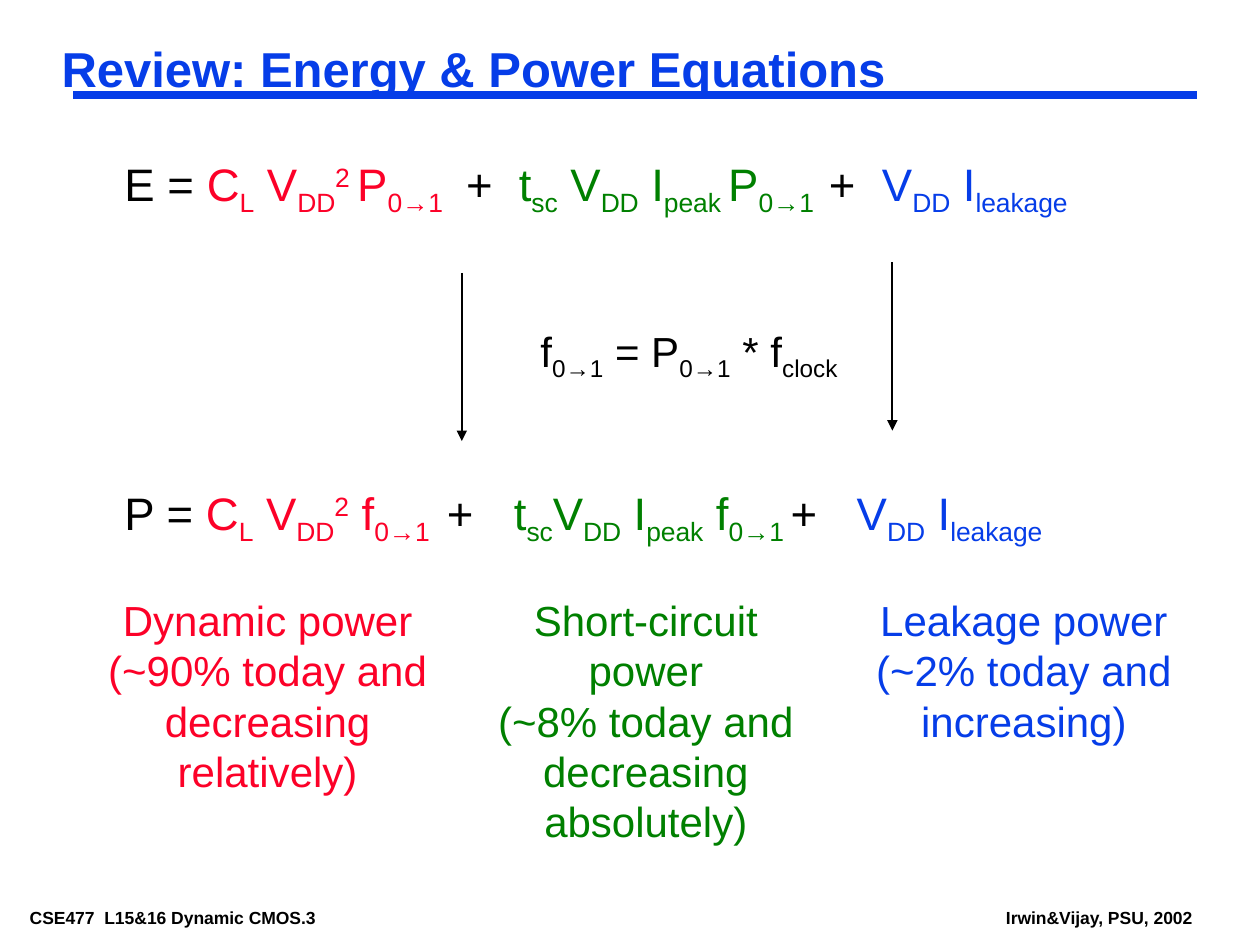
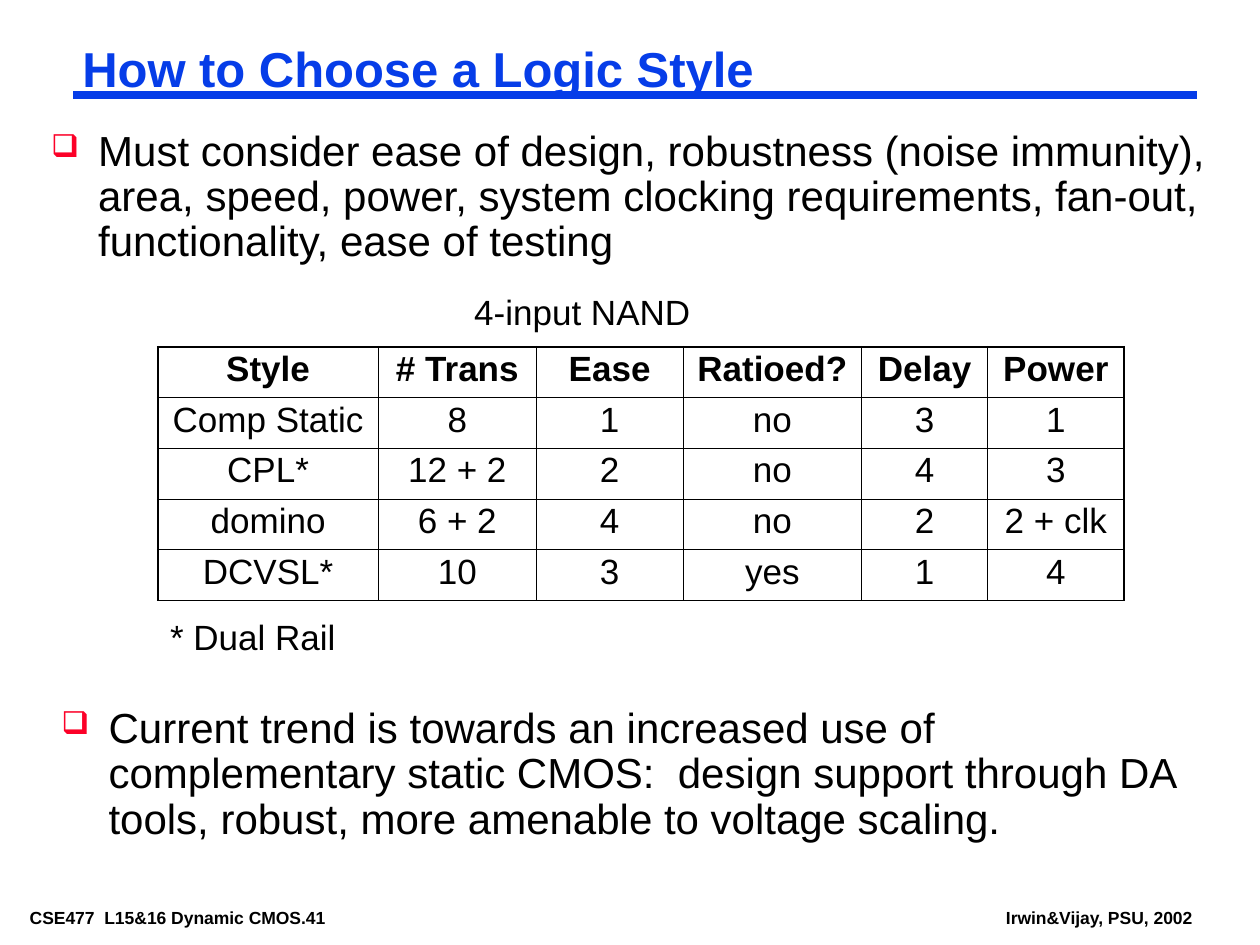
from lxml.etree import SubElement as Sub
from pptx import Presentation
from pptx.dml.color import RGBColor
from pptx.enum.shapes import MSO_CONNECTOR as Link
from pptx.enum.text import MSO_ANCHOR as Anchor, MSO_AUTO_SIZE as Fit, PP_ALIGN as Align
from pptx.oxml.ns import qn
from pptx.util import Cm, Pt

BLUE = RGBColor(0x06, 0x3D, 0xE8)
RED = RGBColor(0xFC, 0x01, 0x28)
GREEN = RGBColor(0x00, 0x80, 0x00)
BLACK = RGBColor(0, 0, 0)
FACE = "Arial"
TIGHT = (0.18, 0.08)
ROOMY = (0.25, 0.13)
SHIFT = {"_": "-25000", "^": "30000"}

ENERGY = [
    (BLACK, "E = "),
    (RED, "C|_L| V|_DD|^2 |P|_0→1"),
    (BLACK, "\t+\t"),
    (GREEN, "t|_sc| V|_DD| I|_peak |P|_0→1"),
    (BLACK, "\t+\t"),
    (BLUE, "V|_DD| I|_leakage"),
]
POWER = [
    (BLACK, "P = "),
    (RED, "C|_L| V|_DD|^2| f|_0→1"),
    (BLACK, "\t+\t"),
    (GREEN, "t|_sc|V|_DD| I|_peak| f|_0→1"),
    (BLACK, "\t+\t"),
    (BLUE, "V|_DD| I|_leakage"),
]
CLOCK = [(BLACK, "f|_0→1| = P|_0→1| * f|_clock")]
NOTES = [
    (1.9, 6.99, RED, "Dynamic power", "(~90% today and decreasing relatively)"),
    (9.74, 6.56, GREEN, "Short-circuit power", "(~8% today and decreasing absolutely)"),
    (17.36, 6.56, BLUE, "Leakage power", "(~2% today and increasing)"),
]
POINTS = [
    (0.85, 2.54, "Must consider ease of design, robustness (noise immunity), area, speed, "
     "power, system clocking requirements, fan-out, functionality, ease of testing"),
    (1.06, 14.18, "Current trend is towards an increased use of complementary static CMOS:  "
     "design support through DA tools, robust, more amenable to voltage scaling."),
]
STYLES = [
    ["Style", "# Trans", "Ease", "Ratioed?", "Delay", "Power"],
    ["Comp Static", "8", "1", "no", "3", "1"],
    ["CPL*", "12 + 2", "2", "no", "4", "3"],
    ["domino", "6 + 2", "4", "no", "2", "2 + clk"],
    ["DCVSL*", "10", "3", "yes", "1", "4"],
]
WIDTHS = [4.45, 3.18, 2.96, 3.6, 2.54, 2.75]


def put(item, **vals):
    for name, val in vals.items():
        setattr(item, name, val)


def node(root, tag, **attrs):
    return Sub(root, qn("a:" + tag), attrs)


def color(root, rgb):
    node(root, "srgbClr", val=str(rgb))


def write(para, text, size, rgb=BLACK, bold=False):
    run = para.add_run()
    run.text = text
    put(run.font, name=FACE, size=Pt(size), bold=bold)
    run.font.color.rgb = rgb
    return run


def pad(item, inset):
    side, edge = map(Cm, inset)
    put(item, margin_left=side, margin_right=side, margin_top=edge, margin_bottom=edge)


def box(slide, left, top, width, height, inset=TIGHT):
    frame = slide.shapes.add_textbox(Cm(left), Cm(top), Cm(width), Cm(height)).text_frame
    frame.word_wrap = True
    pad(frame, inset)
    return frame


def label(slide, text, left, top, width, height, size, inset=TIGHT, bold=False):
    frame = box(slide, left, top, width, height, inset)
    write(frame.paragraphs[0], text, size, bold=bold)


def line(slide, start, end, rgb, width, arrow=False):
    link = slide.shapes.add_connector(Link.STRAIGHT, *map(Cm, start + end))
    link.line.width = Pt(width)
    link.line.color.rgb = rgb
    props = link._element.spPr
    if arrow:
        node(props.find(qn("a:ln")), "tailEnd", type="triangle")
    node(props, "effectLst")


def page(deck, title, left, width, number):
    slide = deck.slides.add_slide(deck.slide_layouts[5])
    head = slide.shapes.title
    put(head, left=Cm(left), top=Cm(0.85), width=Cm(width), height=Cm(1.16))
    frame = head.text_frame
    put(frame, auto_size=Fit.NONE, vertical_anchor=Anchor.TOP, word_wrap=True)
    pad(frame, TIGHT)
    para = frame.paragraphs[0]
    put(para, alignment=Align.LEFT, line_spacing=0.87)
    write(para, title, 28, BLUE, True)
    line(slide, (1.48, 1.91), (24.13, 1.91), BLUE, 4.5)
    label(slide, f"CSE477  L15&16 Dynamic CMOS.{number}", 0.42, 18.2, 7.62, 0.56, 10, bold=True)
    label(slide, "Irwin&Vijay, PSU, 2002", 20.1, 18.2, 4.6, 0.56, 10, bold=True)
    return slide


def math(para, terms, size):
    for rgb, term in terms:
        for part in term.split("|"):
            base = SHIFT.get(part[0])
            run = write(para, part[1:] if base else part, size, rgb)
            if base:
                run.font._element.set("baseline", base)


def sums(slide, top, terms, stops):
    para = box(slide, 2.33, top, 20.75, 1.3).paragraphs[0]
    tabs = node(para._p.get_or_add_pPr(), "tabLst")
    for stop in stops:
        node(tabs, "tab", pos=str(Cm(stop)), algn="l")
    para.line_spacing = 0.8
    math(para, terms, 26)


def note(slide, left, width, rgb, *lines):
    frame = box(slide, left, 11.85, width, 4.3, ROOMY)
    for index, text in enumerate(lines):
        para = frame.add_paragraph() if index else frame.paragraphs[0]
        para.alignment = Align.CENTER
        write(para, text, 24, rgb)


def point(slide, left, top, text):
    para = box(slide, left, top, 23.7, 2.9).paragraphs[0]
    props = para._p.get_or_add_pPr()
    put(para, line_spacing=0.9)
    props.set("marL", str(Cm(0.95)))
    props.set("indent", str(Cm(-0.95)))
    color(node(props, "buClr"), RED)
    node(props, "buSzPct", val="75000")
    node(props, "buChar", char="❑")
    write(para, text, 24)


def edge(cell, sides):
    props = cell._tc.get_or_add_tcPr()
    for side, bold in sides.items():
        rule = node(props, "ln" + side, w=str(Pt(1.08 if bold else 0.45)))
        color(node(rule, "solidFill"), BLACK)


def grid(slide, rows, left, top, widths, height):
    last, end = len(rows) - 1, len(widths) - 1
    table = slide.shapes.add_table(
        len(rows), len(widths), Cm(left), Cm(top), Cm(sum(widths)), Cm(height * len(rows))
    ).table
    put(table, first_row=False, horz_banding=False)
    for col, width in zip(table.columns, widths):
        col.width = Cm(width)
    for r, row in enumerate(rows):
        table.rows[r].height = Cm(height)
        for c, text in enumerate(row):
            cell = table.cell(r, c)
            pad(cell, ROOMY)
            edge(cell, {"L": c == 0, "R": c == end, "T": r < 2, "B": r in (0, last)})
            cell.fill.background()
            para = cell.text_frame.paragraphs[0]
            put(para, alignment=Align.CENTER, line_spacing=0.9)
            write(para, text, 20, bold=r == 0)


def review(deck):
    slide = page(deck, "Review: Energy & Power Equations", 1.06, 23.7, 3)
    sums(slide, 3.18, ENERGY, [6.89, 7.95, 14.2, 15.27])
    sums(slide, 9.81, POWER, [6.5, 7.85, 13.43, 14.76])
    for args in NOTES:
        note(slide, *args)
    for x, top in ((9.31, 5.5), (17.99, 5.29)):
        line(slide, (x, top), (x, top + 3.39), BLACK, 1, True)
    para = box(slide, 8.81, 6.56, 10.16, 1.16, (0, 0)).paragraphs[0]
    para.alignment = Align.CENTER
    math(para, CLOCK, 24)


def choice(deck):
    slide = page(deck, "How to Choose a Logic Style", 1.48, 22.65, 41)
    for args in POINTS:
        point(slide, *args)
    grid(slide, STYLES, 3.18, 6.99, WIDTHS, 1.02)
    label(slide, "4-input NAND", 9.31, 5.72, 5.5, 1.11, 20, ROOMY)
    label(slide, "* Dual Rail", 3.18, 12.28, 4.5, 1.11, 20, ROOMY)


def main():
    deck = Presentation()
    put(deck, slide_width=Cm(25.4), slide_height=Cm(19.05))
    review(deck)
    choice(deck)
    deck.save("out.pptx")


if __name__ == "__main__":
    main()
